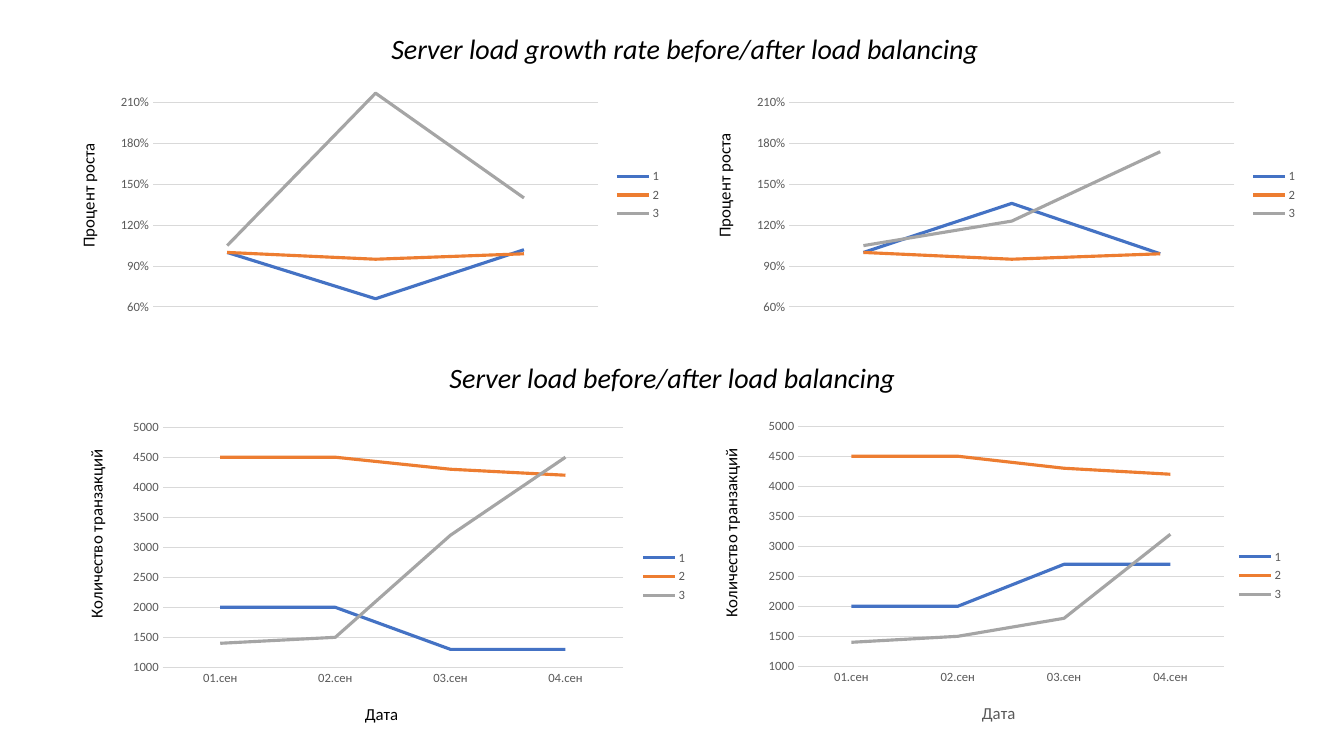
from pptx import Presentation
from pptx.chart.data import CategoryChartData
from pptx.dml.color import RGBColor
from pptx.enum.chart import XL_CHART_TYPE, XL_LEGEND_POSITION, XL_TICK_MARK
from pptx.enum.text import PP_ALIGN
from pptx.oxml import parse_xml
from pptx.oxml.ns import nsdecls, qn
from pptx.util import Inches, Pt

COLORS = {"text": "000000", "muted": "595959", "grid": "D9D9D9",
          "1": "4472C4", "2": "ED7D31", "3": "A5A5A5"}
DATES = ["01.сен", "02.сен", "03.сен", "04.сен"]
PERIODS = ["1", "2", "3"]


def set_layout(parent, index, **fractions):
    """Place a chart part by fractions of the chart's size."""
    for old in parent.findall(qn("c:layout")):
        parent.remove(old)
    target = '<c:layoutTarget val="inner"/>' if "w" in fractions else ""
    modes = "".join(f'<c:{k}Mode val="edge"/>' for k in "xy")
    values = "".join(f'<c:{k} val="{v}"/>' for k, v in fractions.items())
    parent.insert(index, parse_xml(
        f'<c:layout {nsdecls("c")}><c:manualLayout>{target}{modes}{values}'
        "</c:manualLayout></c:layout>"))


class SlideBuilder:
    font = "Calibri"

    def __init__(self, s):
        self.s = s

    def style_font(self, font, size, color):
        font.name = self.font
        font.size = Pt(size)
        font.color.rgb = RGBColor.from_string(COLORS[color])

    def style_line(self, line, color, width):
        line.color.rgb = RGBColor.from_string(COLORS[color])
        line.width = Pt(width)

    def heading(self, text, x, y, w, h, wrap=True):
        tf = self.s.shapes.add_textbox(
            Inches(x), Inches(y), Inches(w), Inches(h)).text_frame
        tf.word_wrap = wrap
        p = tf.paragraphs[0]
        p.text = text
        p.alignment = PP_ALIGN.CENTER
        self.style_font(p.font, 20, "text")
        p.font.italic = True

    def axis_title(self, axis, text, color, x, y, vertical=False):
        title = axis.axis_title
        tf = title.text_frame
        p = tf.paragraphs[0]
        p.text = text
        self.style_font(p.font, 12, color)
        p.font.bold = False
        if vertical:
            body = tf._txBody.find(qn("a:bodyPr"))
            body.set("rot", "-5400000")
            body.set("vert", "horz")
        set_layout(title._element, 1, x=x, y=y)

    def line_chart(self, box, cats, rows, plot):
        data = CategoryChartData()
        data.categories = cats
        for number, values in enumerate(rows, 1):
            data.add_series(str(number), values)
        chart = self.s.shapes.add_chart(
            XL_CHART_TYPE.LINE, *map(Inches, box), data).chart
        chart.has_title = False
        self.style_font(chart.font, 10, "text")
        chart.has_legend = True
        chart.legend.position = XL_LEGEND_POSITION.RIGHT
        chart.legend.include_in_layout = False
        self.style_font(chart.legend.font, 9, "muted")
        for series in chart.plots[0].series:
            series.smooth = False
            self.style_line(series.format.line, series.name, 2.25)
        for axis in (chart.category_axis, chart.value_axis):
            axis.major_tick_mark = axis.minor_tick_mark = XL_TICK_MARK.NONE
            self.style_font(axis.tick_labels.font, 9, "muted")
        chart.value_axis.format.line.fill.background()
        self.style_line(chart.value_axis.major_gridlines.format.line, "grid", 0.75)
        plot_area = chart._chartSpace.chart.plotArea
        set_layout(plot_area, 0, **dict(zip("xywh", plot)))
        return chart

    def growth_chart(self, x, rows, title_y):
        chart = self.line_chart((x, 0.7, 6.05, 2.47), PERIODS, rows,
                                (0.15, 0.02, 0.73, 0.93))
        chart.category_axis.visible = False
        axis = chart.value_axis
        axis.minimum_scale, axis.maximum_scale, axis.major_unit = 0.6, 2.3, 0.3
        axis.tick_labels.number_format = "0%"
        axis.tick_labels.number_format_is_linked = False
        self.axis_title(axis, "Процент роста", "text", 0.02, title_y, vertical=True)

    def load_chart(self, x, y, w, rows, plot_x, plot_w, date_color):
        chart = self.line_chart((x, y, w, 3.22), DATES, rows,
                                (plot_x, 0.04, plot_w, 0.74))
        self.style_line(chart.category_axis.format.line, "grid", 0.75)
        self.axis_title(chart.category_axis, "Дата", date_color, 0.46, 0.88)
        axis = chart.value_axis
        axis.minimum_scale, axis.maximum_scale, axis.major_unit = 1000, 5000, 500
        self.axis_title(axis, "Количество транзакций", "text", 0.01, 0.1,
                        vertical=True)


def main():
    prs = Presentation()
    prs.slide_width, prs.slide_height = Inches(13.33), Inches(7.5)
    slide = SlideBuilder(prs.slides.add_slide(prs.slide_layouts[6]))

    steady_growth = [1, 0.95, 0.99]
    steady_load = [4500, 4500, 4300, 4200]

    slide.growth_chart(
        0.61, [[1, 0.66, 1.02], steady_growth, [1.05, 2.17, 1.4]], 0.28)
    slide.load_chart(
        0.75, 4.11, 6.17,
        [[2000, 2000, 1300, 1300], steady_load, [1400, 1500, 3200, 4500]],
        0.14, 0.74, "text")
    slide.heading("Server load growth rate before/after load balancing",
                  2.33, 0.26, 8.93, 0.44)
    slide.load_chart(
        7.05, 4.1, 5.78,
        [[2000, 2000, 2700, 2700], steady_load, [1400, 1500, 1800, 3200]],
        0.15, 0.73, "muted")
    slide.growth_chart(
        6.92, [[1, 1.36, 0.99], steady_growth, [1.05, 1.23, 1.74]], 0.24)
    slide.heading("Server load before/after load balancing",
                  4.34, 3.53, 4.66, 0.44, wrap=False)
    prs.save("out.pptx")


if __name__ == "__main__":
    main()
